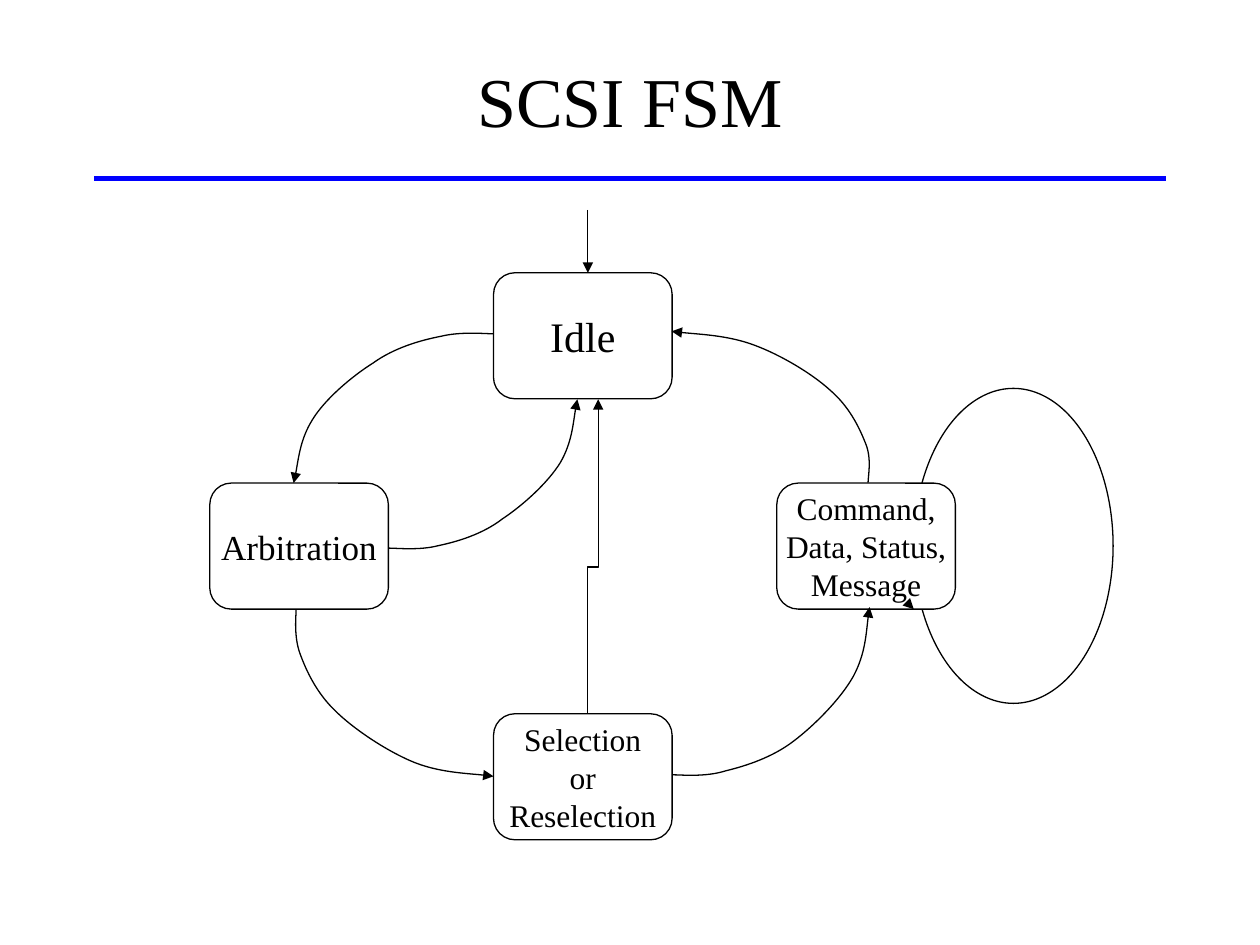
import pptx
import pptx.util
import pptx.dml.color
import pptx.enum.shapes
import pptx.enum.text
import pptx.oxml
from dataclasses import dataclass
from pptx.oxml.ns import qn

Cm, Pt = pptx.util.Cm, pptx.util.Pt
RGB = pptx.dml.color.RGBColor
SHAPE = pptx.enum.shapes.MSO_SHAPE
STRAIGHT = pptx.enum.shapes.MSO_CONNECTOR.STRAIGHT
CENTER = pptx.enum.text.PP_ALIGN.CENTER
MIDDLE = pptx.enum.text.MSO_ANCHOR.MIDDLE


@dataclass
class Theme:
    font: str = "Times New Roman"
    ink: RGB = RGB(0, 0, 0)
    paper: RGB = RGB(255, 255, 255)
    rule: RGB = RGB(0, 0, 255)
    title: int = 40
    idle: int = 24
    arbitration: int = 20
    small: int = 18
    rule_width: float = 3
    line_width: float = 0.75


theme = Theme()


def write(frame, lines, size):
    """Fill a text frame with centred lines."""
    frame.vertical_anchor = MIDDLE
    for number, line in enumerate(lines):
        paragraph = frame.add_paragraph() if number else frame.paragraphs[0]
        paragraph.alignment = CENTER
        run = paragraph.add_run()
        run.text = line
        run.font.name = theme.font
        run.font.size = Pt(size)
        run.font.color.rgb = theme.ink


def stroke(item, color=theme.ink, width=theme.line_width, arrow=False):
    """Set the outline of a shape or connector, without shadow."""
    item.line.color.rgb = color
    item.line.width = Pt(width)
    if arrow:
        pptx.oxml.ns  # namespace map used by qn
        item.line._get_or_add_ln().append(pptx.oxml.parse_xml(
            '<a:tailEnd xmlns:a="http://schemas.openxmlformats.org/'
            'drawingml/2006/main" type="triangle"/>'))
    properties = item._element.spPr
    if properties.find(qn("a:effectLst")) is None:
        properties.append(properties.makeelement(qn("a:effectLst"), {}))


deck = pptx.Presentation()
deck.slide_width, deck.slide_height = Cm(25.4), Cm(19.05)
slide = deck.slides.add_slide(deck.slide_layouts[5])
shapes = slide.shapes

# Title and rule
title = shapes.title
title.left, title.top, title.width, title.height = Cm(1.9), Cm(0.42), Cm(21.6), Cm(3.18)
title.text_frame.auto_size = pptx.enum.text.MSO_AUTO_SIZE.NONE
write(title.text_frame, ["SCSI FSM"], theme.title)
rule = shapes.add_connector(STRAIGHT, Cm(1.9), Cm(3.6), Cm(23.5), Cm(3.6))
stroke(rule, theme.rule, theme.rule_width)

# Self loop, partly hidden by the command state
self_loop = shapes.add_shape(SHAPE.OVAL, Cm(18.42), Cm(7.83), Cm(4.02), Cm(6.35))
self_loop.fill.background()
stroke(self_loop)

# States: left, top, lines, type size, filled
states = [
    (9.95, 5.5, ["Idle"], theme.idle, False),
    (4.23, 9.74, ["Arbitration"], theme.arbitration, False),
    (9.95, 14.39, ["Selection", "or", "Reselection"], theme.small, False),
    (15.66, 9.74, ["Command,", "Data, Status,", "Message"], theme.small, True),
]
for left, top, lines, size, filled in states:
    state = shapes.add_shape(SHAPE.ROUNDED_RECTANGLE, Cm(left), Cm(top), Cm(3.6), Cm(2.54))
    state.adjustments[0] = 0.17
    if filled:
        state.fill.solid()
        state.fill.fore_color.rgb = theme.paper
    else:
        state.fill.background()
    stroke(state)
    state.text_frame.word_wrap = False
    write(state.text_frame, lines, size)

# Straight arrows: into idle, and the end of the self loop
for x1, y1, x2, y2 in [(11.85, 4.23, 11.85, 5.5), (18.39, 12.25, 18.42, 12.28)]:
    arrow = shapes.add_connector(STRAIGHT, Cm(x1), Cm(y1), Cm(x2), Cm(y2))
    stroke(arrow, arrow=True)

# Transitions: start point, then Bézier points in threes
idle_to_arbitration = [
    (9.95, 6.73), (9.78, 6.73), (9.3, 6.68), (8.89, 6.78),
    (8.48, 6.86), (7.95, 7.01), (7.52, 7.32),
    (7.09, 7.59), (6.55, 8.05), (6.3, 8.46),
    (6.05, 8.86), (5.99, 9.47), (5.92, 9.74)]
arbitration_to_idle = [
    (7.83, 11.05), (8, 11.05), (8.46, 11.1), (8.84, 11),
    (9.22, 10.92), (9.73, 10.77), (10.13, 10.46),
    (10.54, 10.19), (11.05, 9.73), (11.3, 9.32),
    (11.53, 8.92), (11.58, 8.31), (11.64, 8.05)]
arbitration_to_selection = [
    (5.97, 12.29), (5.97, 12.42), (5.92, 12.83), (6.05, 13.18),
    (6.17, 13.51), (6.38, 13.97), (6.76, 14.33),
    (7.11, 14.68), (7.75, 15.11), (8.28, 15.34),
    (8.81, 15.57), (9.6, 15.6), (9.95, 15.65)]
selection_to_command = [
    (13.56, 15.62), (13.74, 15.62), (14.22, 15.67), (14.63, 15.54),
    (15.04, 15.44), (15.57, 15.27), (16, 14.94),
    (16.41, 14.63), (16.94, 14.1), (17.2, 13.64),
    (17.45, 13.18), (17.48, 12.52), (17.53, 12.24)]
command_to_idle = [
    (17.5, 9.73), (17.5, 9.6), (17.58, 9.25), (17.45, 8.94),
    (17.32, 8.61), (17.12, 8.2), (16.74, 7.87),
    (16.38, 7.54), (15.75, 7.16), (15.21, 6.96),
    (14.68, 6.76), (13.89, 6.73), (13.54, 6.68)]
selection_to_idle = [(11.85, 14.39), (11.85, 11.43), (12.06, 11.43), (12.06, 8.05)]

transitions = [
    (idle_to_arbitration, True), (arbitration_to_idle, True),
    (arbitration_to_selection, True), (selection_to_command, True),
    (command_to_idle, True), (selection_to_idle, False),
]
for points, curved in transitions:
    start, *rest = [(Cm(x), Cm(y)) for x, y in points]
    builder = shapes.build_freeform(*start)
    builder.add_line_segments(rest, close=False)
    transition = builder.convert_to_shape()
    transition.fill.background()
    stroke(transition, arrow=True)
    if curved:
        # Join every three line segments into one Bézier segment
        outline = transition._element.spPr.find(".//" + qn("a:path"))
        segments = outline.findall(qn("a:lnTo"))
        for first in range(0, len(segments), 3):
            curve = outline.makeelement(qn("a:cubicBezTo"), {})
            for segment in segments[first:first + 3]:
                curve.append(segment[0])
                outline.remove(segment)
            outline.append(curve)

deck.save("out.pptx")
